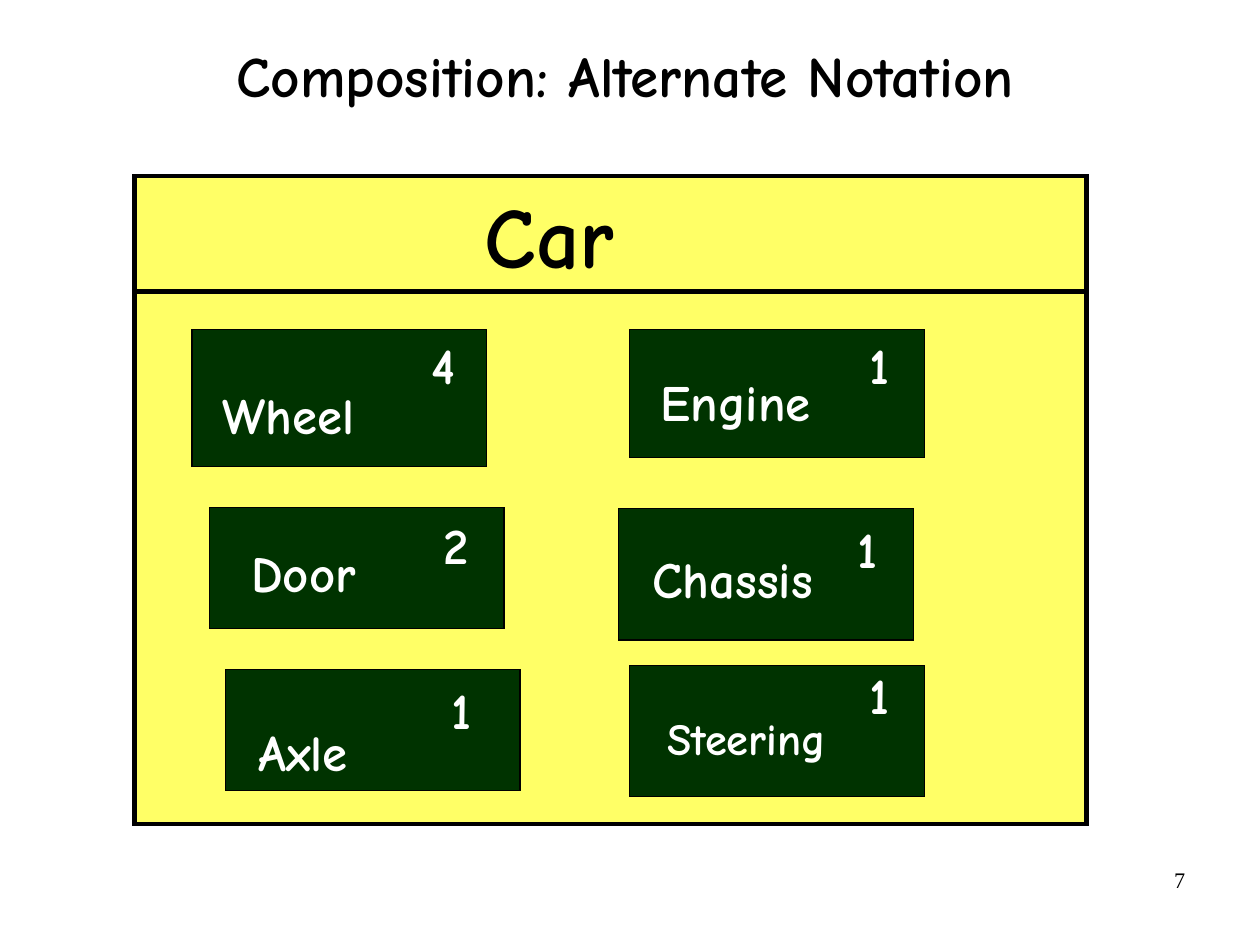
"""Builds a slide showing the composition of a car from its parts."""
from lxml import etree
from pptx import Presentation
from pptx.dml.color import RGBColor
from pptx.enum.shapes import MSO_CONNECTOR, MSO_SHAPE
from pptx.enum.text import MSO_ANCHOR, MSO_AUTO_SIZE, PP_ALIGN
from pptx.oxml.ns import qn
from pptx.util import Pt

RECTANGLE = MSO_SHAPE.RECTANGLE
STRAIGHT = MSO_CONNECTOR.STRAIGHT
LEFT, CENTER, RIGHT = PP_ALIGN.LEFT, PP_ALIGN.CENTER, PP_ALIGN.RIGHT
TOP, MIDDLE = MSO_ANCHOR.TOP, MSO_ANCHOR.MIDDLE
NO_AUTOFIT = MSO_AUTO_SIZE.NONE

PX = 9144
SLIDE_WIDTH, SLIDE_HEIGHT = 10080625, 7559675
COLORS = {"ink": "000000", "car": "FFFF66", "part": "003300", "label": "FFFFFF"}
HEADING_FONT = "Comic Neue"
NUMBER_FONT = "Times New Roman"


def write(box, text, size, color, align=LEFT, spacing=1.0, anchor=TOP,
          insets=(10, 5), font=HEADING_FONT, bold=True, wrap=True):
    frame = box.text_frame
    frame.word_wrap = wrap
    frame.auto_size = NO_AUTOFIT
    frame.vertical_anchor = anchor
    frame.margin_left = frame.margin_right = insets[0] * PX
    frame.margin_top = frame.margin_bottom = insets[1] * PX
    para = frame.paragraphs[0]
    para.alignment = align
    para.line_spacing = spacing
    span = para.add_run()
    span.text = text
    span.font.name = font
    span.font.size = Pt(size)
    span.font.bold = bold
    span.font.color.rgb = RGBColor.from_string(COLORS[color])


def add_rectangle(page, left, top, width, height, fill, line_width):
    box = page.shapes.add_shape(RECTANGLE, left * PX, top * PX, width * PX, height * PX)
    box.shadow.inherit = False
    box.fill.solid()
    box.fill.fore_color.rgb = RGBColor.from_string(COLORS[fill])
    box.line.color.rgb = RGBColor.from_string(COLORS["ink"])
    box.line.width = Pt(line_width)
    outline = box._element.spPr.find(qn("a:ln"))
    etree.SubElement(outline, qn("a:miter"), lim="800000")


deck = Presentation()
deck.slide_width = SLIDE_WIDTH
deck.slide_height = SLIDE_HEIGHT
page = deck.slides.add_slide(deck.slide_layouts[5])

title = page.shapes.title
title.left, title.top, title.width, title.height = 51 * PX, 1 * PX, 992 * PX, 137 * PX
write(title, "Composition: Alternate Notation", 36, "ink", CENTER, 0.88, MIDDLE, (0, 0))

add_rectangle(page, 118, 154, 833, 567, "car", 3)
divider = page.shapes.add_connector(STRAIGHT, 118 * PX, 255 * PX, 951 * PX, 255 * PX)
divider.line.color.rgb = RGBColor.from_string(COLORS["ink"])
divider.line.width = Pt(3)
etree.SubElement(divider._element.spPr, qn("a:effectLst"))

car_name = page.shapes.add_textbox(413 * PX, 154 * PX, 148 * PX, 102 * PX)
write(car_name, "Car", 54, "ink", insets=(11, 6), wrap=False)

parts = [
    ("Wheel", 32, "4", (168, 288, 120), (185, 341), (368, 297)),
    ("Engine", 32, "1", (551, 288, 112), (568, 330), (751, 297)),
    ("Door", 32, "2", (183, 444, 106), (210, 479), (378, 455)),
    ("Chassis", 32, "1", (541, 445, 115), (561, 485), (740, 458)),
    ("Axle", 32, "1", (197, 586, 106), (216, 636), (385, 599)),
    ("Steering", 28, "1", (551, 582, 115), (574, 626), (751, 586)),
]
for name, size, count, (left, top, height), name_at, count_at in parts:
    add_rectangle(page, left, top, 258, height, "part", 0.75)
    for text, text_size, (x, y), width in ((name, size, name_at, 217),
                                           (count, 32, count_at, 108)):
        label = page.shapes.add_textbox(x * PX, y * PX, width * PX, 54 * PX)
        write(label, text, text_size, "label", spacing=0.8)

page_number = page.shapes.add_textbox(790 * PX, 753 * PX, 257 * PX, 57 * PX)
write(page_number, "7", 14, "ink", RIGHT, font=NUMBER_FONT, bold=False)

deck.save("out.pptx")
